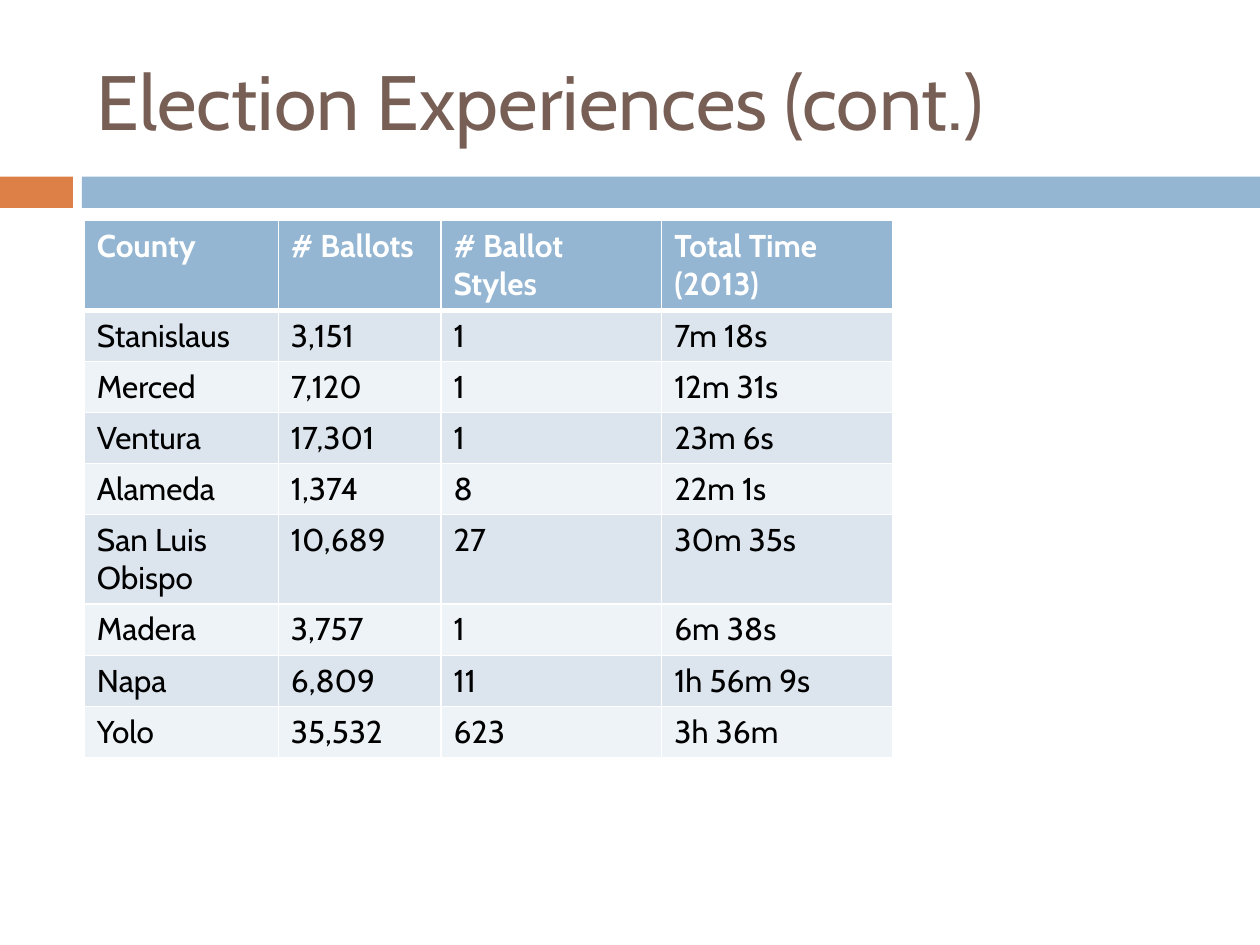
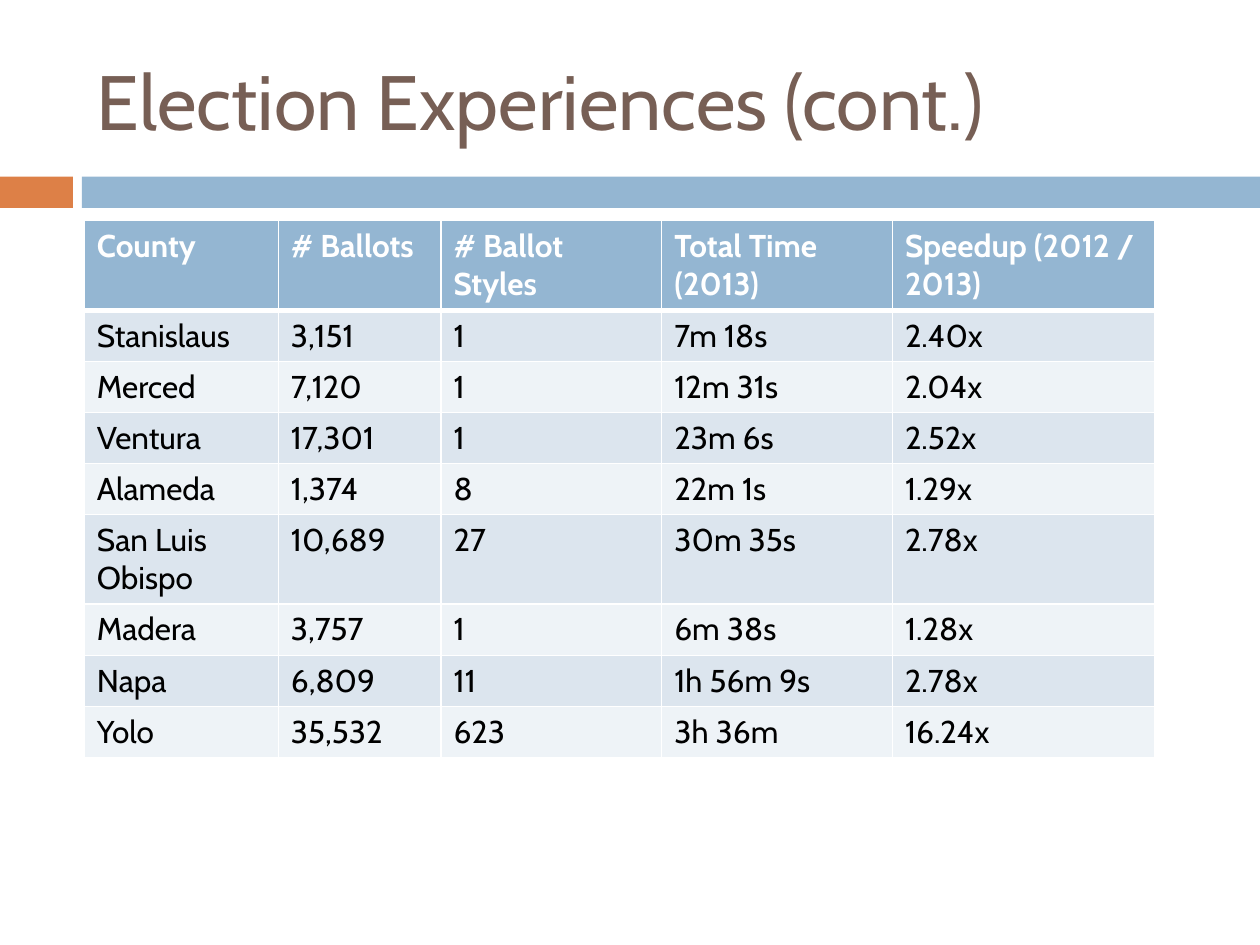
from lxml import etree
from pptx import Presentation
from pptx.dml.color import RGBColor
from pptx.enum.shapes import MSO_SHAPE
from pptx.enum.text import MSO_ANCHOR, MSO_AUTO_SIZE, PP_ALIGN
from pptx.oxml.ns import qn
from pptx.util import Cm, Pt

RECTANGLE = MSO_SHAPE.RECTANGLE
MIDDLE = MSO_ANCHOR.MIDDLE
LEFT = PP_ALIGN.LEFT
NO_AUTOFIT = MSO_AUTO_SIZE.NONE

FONT = "Cabin"
BLUE = "94B6D2"
ORANGE = "DD8047"
BROWN = "775F55"
WHITE = "FFFFFF"
BLACK = "000000"
ROW_FILLS = ["EEF3F7", "DCE5EE"]

TITLE = "Election Experiences (cont.)"
BANDS = [(0, 1.47, ORANGE), (1.65, 23.75, BLUE)]
COLUMN_WIDTHS = [3.91, 3.28, 4.45, 4.65, 5.28]
ROW_HEIGHT = 1.03
COUNTIES = [
    ("County", "# Ballots", "# Ballot Styles", "Total Time (2013)", "Speedup (2012 / 2013)"),
    ("Stanislaus", "3,151", "1", "7m 18s", "2.40x"),
    ("Merced", "7,120", "1", "12m 31s", "2.04x"),
    ("Ventura", "17,301", "1", "23m 6s", "2.52x"),
    ("Alameda", "1,374", "8", "22m 1s", "1.29x"),
    ("San Luis Obispo", "10,689", "27", "30m 35s", "2.78x"),
    ("Madera", "3,757", "1", "6m 38s", "1.28x"),
    ("Napa", "6,809", "11", "1h 56m 9s", "2.78x"),
    ("Yolo", "35,532", "623", "3h 36m", "16.24x"),
]


def color(hex_value):
    return RGBColor.from_string(hex_value)


def add_run(paragraph, text, size, hex_value, bold=False):
    run = paragraph.add_run()
    run.text = text
    run.font.name = FONT
    run.font.size = Pt(size)
    run.font.bold = bold
    run.font.color.rgb = color(hex_value)


presentation = Presentation()
presentation.slide_width = Cm(25.4)
presentation.slide_height = Cm(19.05)
title_only = presentation.slide_layouts.get_by_name("Title Only")

for column_count in (4, 5):
    slide = presentation.slides.add_slide(title_only)

    for left, width, fill in BANDS:
        band = slide.shapes.add_shape(RECTANGLE, Cm(left), Cm(3.56), Cm(width), Cm(0.63))
        band.shadow.inherit = False
        band.fill.solid()
        band.fill.fore_color.rgb = color(fill)
        band.line.fill.background()

    title = slide.shapes.title
    title.left, title.top = Cm(1.7), Cm(0.64)
    title.width, title.height = Cm(22.66), Cm(2.74)
    title.text_frame.word_wrap = True
    title.text_frame.auto_size = NO_AUTOFIT
    title.text_frame.vertical_anchor = MIDDLE
    paragraph = title.text_frame.paragraphs[0]
    paragraph.alignment = LEFT
    add_run(paragraph, TITLE, 44, BROWN)

    widths = COLUMN_WIDTHS[:column_count]
    table = slide.shapes.add_table(
        len(COUNTIES), column_count, Cm(1.7), Cm(4.45),
        Cm(sum(widths)), Cm(ROW_HEIGHT * len(COUNTIES)),
    ).table
    for column, width in zip(table.columns, widths):
        column.width = Cm(width)

    for row_index, values in enumerate(COUNTIES):
        table.rows[row_index].height = Cm(ROW_HEIGHT)
        is_header = row_index == 0
        row_fill = BLUE if is_header else ROW_FILLS[row_index % 2]
        border_widths = {
            "a:lnL": 1,
            "a:lnR": 1,
            "a:lnT": 3 if row_index == 1 else 1,
            "a:lnB": 3 if is_header else 1,
        }
        for column_index, value in enumerate(values[:column_count]):
            cell = table.cell(row_index, column_index)
            properties = cell._tc.get_or_add_tcPr()
            for tag, points in border_widths.items():
                border = etree.SubElement(properties, qn(tag), w=str(Pt(points)))
                border_fill = etree.SubElement(border, qn("a:solidFill"))
                etree.SubElement(border_fill, qn("a:srgbClr"), val=WHITE)
            cell.fill.solid()
            cell.fill.fore_color.rgb = color(row_fill)
            add_run(cell.text_frame.paragraphs[0], value, 18,
                    WHITE if is_header else BLACK, is_header)

presentation.save("out.pptx")
